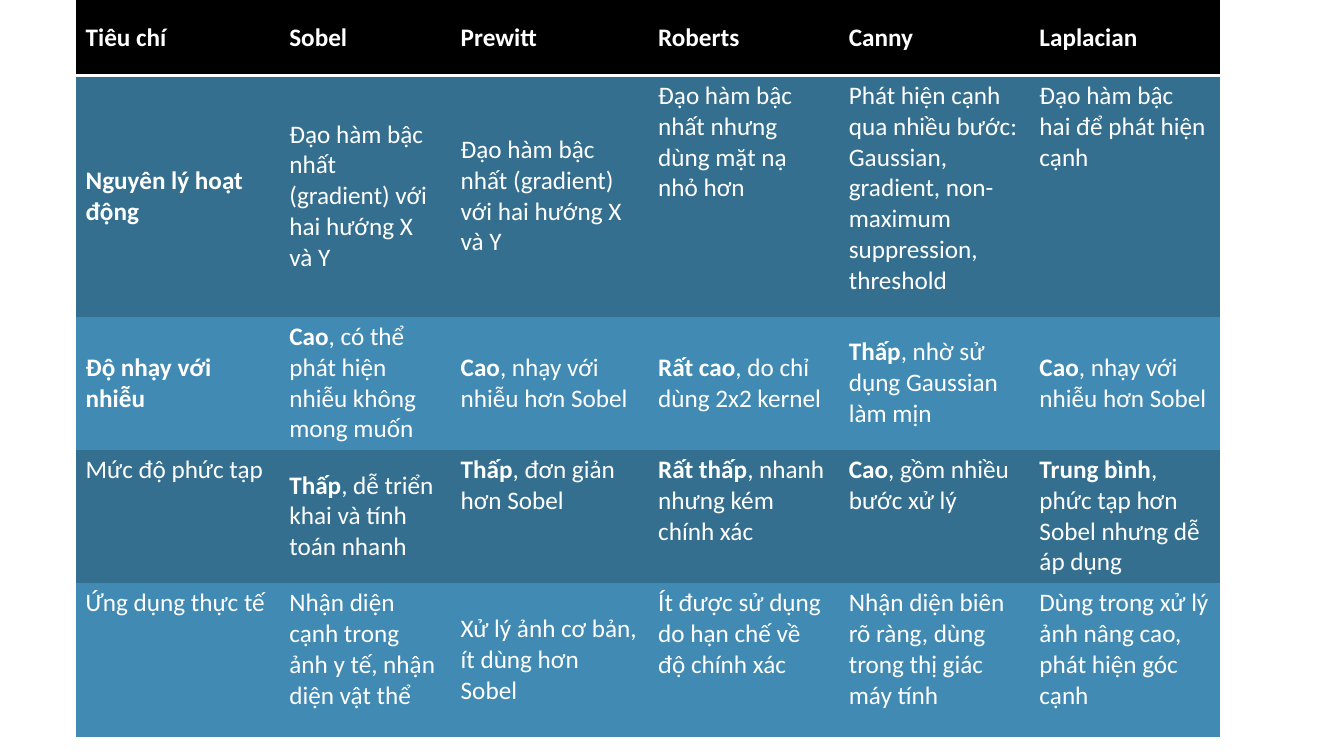
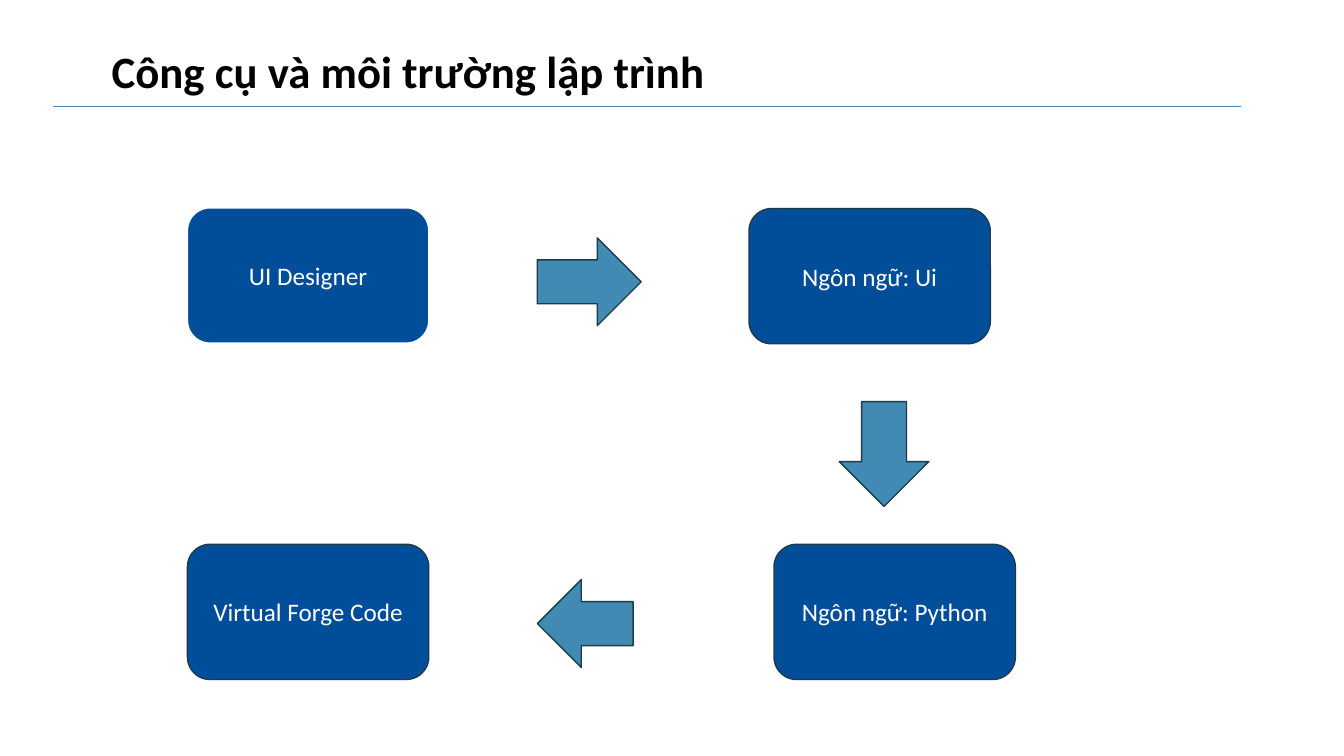
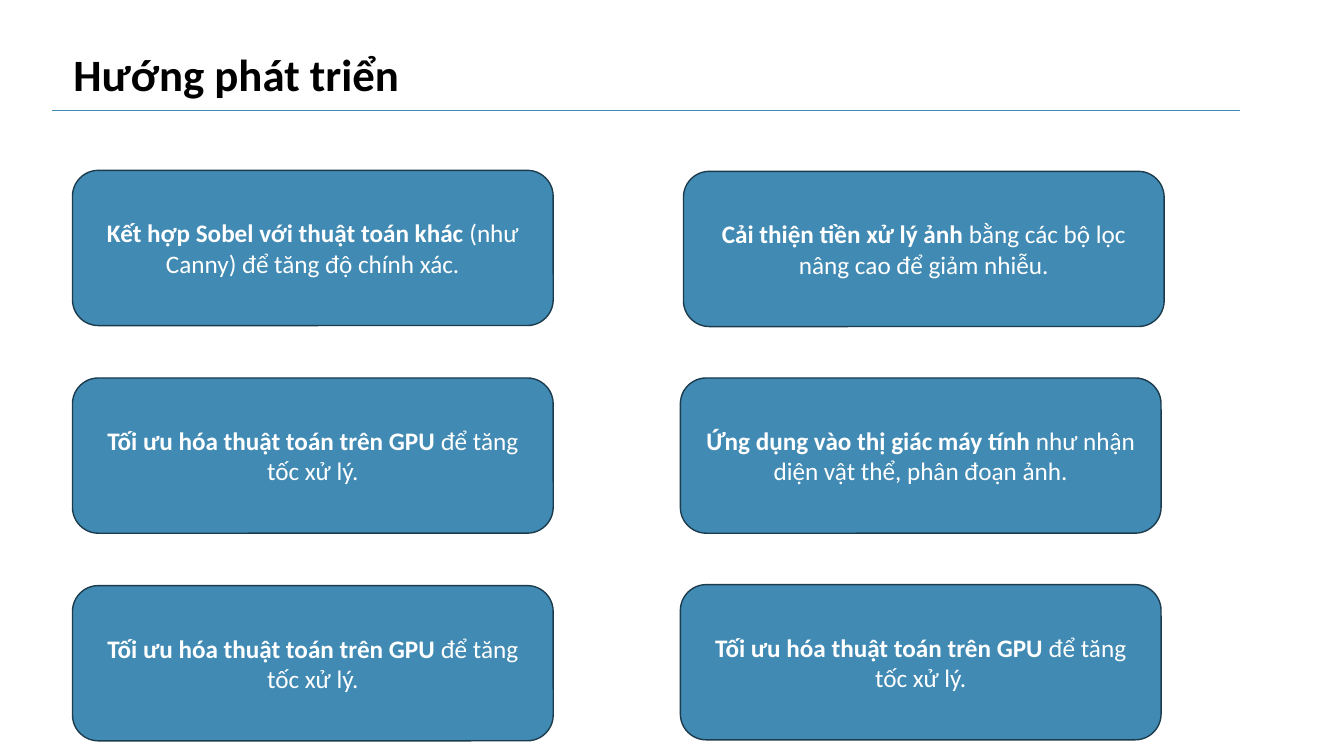
"""Build three slides on edge detection: comparison table, tool flow and future work."""
import pptx
import pptx.dml.color
import pptx.enum.shapes
import pptx.enum.text
import pptx.oxml
import pptx.oxml.ns
import pptx.util

Pt = pptx.util.Pt
SHAPE = pptx.enum.shapes.MSO_SHAPE
ANCHOR = pptx.enum.text.MSO_ANCHOR
ALIGN = pptx.enum.text.PP_ALIGN

FONT = "Calibri"
COLORS = {"text": "000000", "white": "FFFFFF", "blue": "418AB3", "band": "346F8F",
          "navy": "004E9A", "edge": "1C3C4E"}
NO_GRID_STYLE = "{2D5ABB26-0587-4C30-8999-92F81FD0307C}"
RULE_WIDTH = 848.2

COLUMN_WIDTHS = [145.5, 122.4, 141.1, 136.2, 136.2, 136.2]
ROWS = [
    ("text", 54, "mmmmmm", [
        ("Tiêu chí", ""), ("Sobel", ""), ("Prewitt", ""),
        ("Roberts", ""), ("Canny", ""), ("Laplacian", "")]),
    ("band", 172.1, "mmmttt", [
        ("Nguyên lý hoạt động", ""),
        ("", "Đạo hàm bậc nhất (gradient) với hai hướng X và Y"),
        ("", "Đạo hàm bậc nhất (gradient) với hai hướng X và Y"),
        ("", "Đạo hàm bậc nhất nhưng dùng mặt nạ nhỏ hơn"),
        ("", "Phát hiện cạnh qua nhiều bước: Gaussian, gradient, "
             "non-maximum suppression, threshold"),
        ("", "Đạo hàm bậc hai để phát hiện cạnh")]),
    ("blue", 89.3, "mmmmmm", [
        ("Độ nhạy với nhiễu", ""),
        ("Cao", ", có thể phát hiện nhiễu không mong muốn"),
        ("Cao", ", nhạy với nhiễu hơn Sobel"),
        ("Rất cao", ", do chỉ dùng 2x2 kernel"),
        ("Thấp", ", nhờ sử dụng Gaussian làm mịn"),
        ("Cao", ", nhạy với nhiễu hơn Sobel")]),
    ("band", 89.3, "tmtttt", [
        ("", "Mức độ phức tạp"),
        ("Thấp", ", dễ triển khai và tính toán nhanh"),
        ("Thấp", ", đơn giản hơn Sobel"),
        ("Rất thấp", ", nhanh nhưng kém chính xác"),
        ("Cao", ", gồm nhiều bước xử lý"),
        ("Trung bình", ", phức tạp hơn Sobel nhưng dễ áp dụng")]),
    ("blue", 110.2, "ttmttt", [
        ("", "Ứng dụng thực tế"),
        ("", "Nhận diện cạnh trong ảnh y tế, nhận diện vật thể"),
        ("", "Xử lý ảnh cơ bản, ít dùng hơn Sobel"),
        ("", "Ít được sử dụng do hạn chế về độ chính xác"),
        ("", "Nhận diện biên rõ ràng, dùng trong thị giác máy tính"),
        ("", "Dùng trong xử lý ảnh nâng cao, phát hiện góc cạnh")]),
]

TOOL_SIZE = (172.4, 96.6)
TOOLS = [
    ("UI Designer", 133.9, 148.5, "white"),
    ("Ngôn ngữ: Ui", 535, 149, "edge"),
    ("Ngôn ngữ: Python", 552.9, 388.8, "edge"),
    ("Virtual Forge Code", 133.9, 388.8, "edge"),
]
ARROWS = [
    ((383.8, 169.9, 74.2, 62.8), 0),
    ((594, 292.3, 74.9, 64.1), 90),
    ((383.8, 414, 68.4, 62.8), 180),
]

GPU = ("Tối ưu hóa thuật toán trên GPU", " để tăng tốc xử lý.")
IDEA_SIZE = (343.4, 110.9)
IDEA_LEFTS = (51.8, 486)
IDEA_TOP, IDEA_PITCH = 121.7, 148.3
IDEAS = [
    (("Kết hợp Sobel với thuật toán khác", " (như Canny) để tăng độ chính xác."), (0, 0)),
    (("Cải thiện tiền xử lý ảnh", " bằng các bộ lọc nâng cao để giảm nhiễu."), (2.2, 0.7)),
    (GPU, (0, 0)),
    (("Ứng dụng vào thị giác máy tính", " như nhận diện vật thể, phân đoạn ảnh."), (0, 0)),
    (GPU, (0, 0)),
    (GPU, (0, -0.7)),
]


def rgb(name):
    return pptx.dml.color.RGBColor.from_string(COLORS[name])


def add_runs(p, bold, plain="", size=18, color="white"):
    for text, is_bold in ((bold, True), (plain, False)):
        if text:
            r = p.add_run()
            r.text = text
            r.font.name, r.font.size, r.font.bold = FONT, Pt(size), is_bold
            r.font.color.rgb = rgb(color)


def add_box(s, kind, box, fill, line="edge", runs=None):
    sp = s.shapes.add_shape(kind, *map(Pt, box))
    sp.shadow.inherit = False
    sp.fill.solid()
    sp.fill.fore_color.rgb = rgb(fill)
    sp.line.color.rgb = rgb(line)
    sp.line.width = Pt(1)
    if runs:
        tf = sp.text_frame
        tf.word_wrap = True
        tf.vertical_anchor = ANCHOR.MIDDLE
        tf.paragraphs[0].alignment = ALIGN.CENTER
        add_runs(tf.paragraphs[0], *runs)
    return sp


def add_title(s, text, box, rule_left, rule_top):
    ln = s.shapes.add_connector(pptx.enum.shapes.MSO_CONNECTOR.STRAIGHT, Pt(rule_left),
                                Pt(rule_top), Pt(rule_left + RULE_WIDTH), Pt(rule_top))
    ln.line.color.rgb = rgb("blue")
    ln.line.width = Pt(0.5)
    ln._element.spPr.append(pptx.oxml.parse_xml(
        f'<a:effectLst {pptx.oxml.ns.nsdecls("a")}/>'))
    tf = s.shapes.add_textbox(*map(Pt, box)).text_frame
    tf.word_wrap = True
    tf.auto_size = pptx.enum.text.MSO_AUTO_SIZE.SHAPE_TO_FIT_TEXT
    add_runs(tf.paragraphs[0], text, size=32, color="text")


def add_bottom_border(cell):
    cell._tc.get_or_add_tcPr().insert(0, pptx.oxml.parse_xml(
        f'<a:lnB {pptx.oxml.ns.nsdecls("a")} w="{Pt(2)}"><a:solidFill>'
        f'<a:srgbClr val="{COLORS["white"]}"/></a:solidFill></a:lnB>'))


def build_comparison(s):
    heights = [row[1] for row in ROWS]
    table = s.shapes.add_table(len(ROWS), len(COLUMN_WIDTHS), Pt(54), Pt(0),
                               Pt(sum(COLUMN_WIDTHS)), Pt(sum(heights))).table
    table.horz_banding = False
    table._tbl.tblPr.find(pptx.oxml.ns.qn("a:tableStyleId")).text = NO_GRID_STYLE
    for column, width in zip(table.columns, COLUMN_WIDTHS):
        column.width = Pt(width)
    for i, (fill, height, anchors, texts) in enumerate(ROWS):
        table.rows[i].height = Pt(height)
        for j, (anchor, runs) in enumerate(zip(anchors, texts)):
            cell = table.cell(i, j)
            cell.fill.solid()
            cell.fill.fore_color.rgb = rgb(fill)
            cell.vertical_anchor = ANCHOR.MIDDLE if anchor == "m" else ANCHOR.TOP
            add_runs(cell.text_frame.paragraphs[0], *runs)
            if i == 0:
                add_bottom_border(cell)


def build_tools(s):
    add_title(s, "Công cụ và môi trường lập trình", (72.7, 27.4, 537.1, 46), 38.2, 76.2)
    for text, left, top, line in TOOLS:
        add_box(s, SHAPE.ROUNDED_RECTANGLE, (left, top, *TOOL_SIZE), "navy", line, ("", text))
    for box, angle in ARROWS:
        add_box(s, SHAPE.RIGHT_ARROW, box, "blue").rotation = angle


def build_ideas(s):
    add_title(s, "Hướng phát triển", (45.4, 29.5, 434.9, 46), 37.4, 78.5)
    for i, (runs, (dx, dy)) in enumerate(IDEAS):
        row, col = divmod(i, len(IDEA_LEFTS))
        left, top = IDEA_LEFTS[col] + dx, IDEA_TOP + row * IDEA_PITCH + dy
        add_box(s, SHAPE.ROUNDED_RECTANGLE, (left, top, *IDEA_SIZE), "blue", runs=runs)


def main():
    prs = pptx.Presentation()
    prs.slide_width, prs.slide_height = Pt(960), Pt(540)
    for build in (build_comparison, build_tools, build_ideas):
        build(prs.slides.add_slide(prs.slide_layouts[6]))
    prs.save("out.pptx")


if __name__ == "__main__":
    main()
